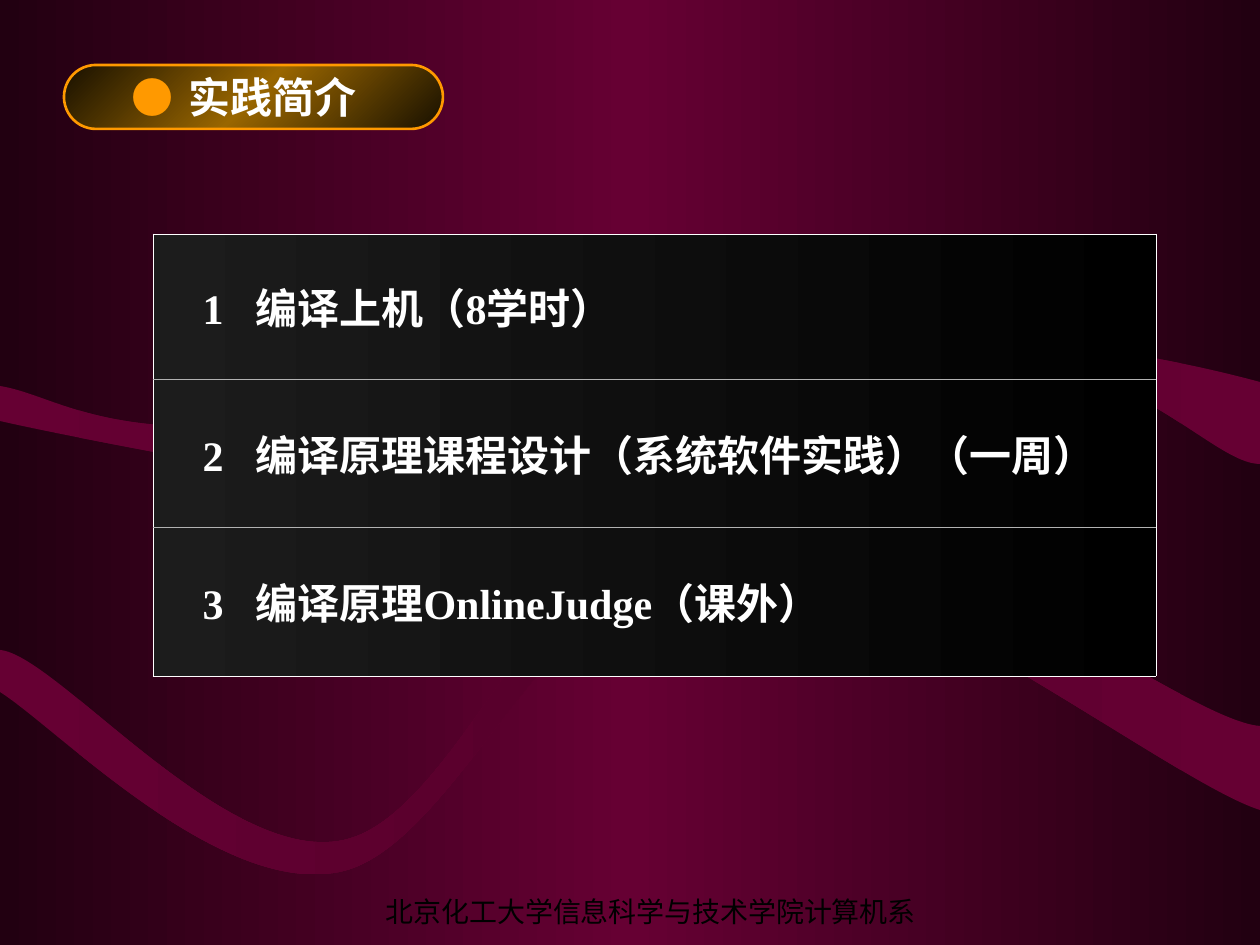
from copy import deepcopy

from lxml.etree import SubElement
from pptx import Presentation
from pptx.dml.color import RGBColor
from pptx.enum.shapes import MSO_SHAPE as Shape
from pptx.enum.text import MSO_ANCHOR as Anchor, PP_ALIGN as Align
from pptx.oxml.ns import qn
from pptx.util import Pt

EMU_PER_PX = 914400 / 126
FONT = "Times New Roman"
COLORS = {
    "edge": "220011", "wine": "660033", "wave": "56002B",
    "charcoal": "1C1C1C", "black": "000000", "white": "FFFFFF", "gray": "B2B2B2",
    "umber": "181000", "bronze": "996600", "orange": "FF9900",
}
UPPER_WAVE = [
    [(0, 386)], [(0, 421)],
    [(47, 432), (221, 466), (280, 473)], [(339, 479), (239, 478), (355, 459)],
    [(473, 438), (832, 355), (983, 357)], [(1134, 357), (1213, 464), (1260, 464)],
    [(1260, 382)],
    [(1197, 365), (1053, 331), (883, 339)], [(713, 345), (387, 418), (239, 426)],
    [(92, 433), (50, 394), (0, 386)],
]
LOWER_WAVE = [
    [(0, 650)], [(0, 692)],
    [(57, 728), (219, 896), (339, 872)], [(457, 849), (558, 562), (712, 552)],
    [(866, 541), (1168, 781), (1260, 810)],
    [(1260, 726)],
    [(1182, 721), (871, 475), (708, 493)], [(556, 512), (462, 814), (344, 840)],
    [(226, 866), (57, 655), (0, 650)],
]
TOPICS = [
    ("1\t编译上机（8学时）", 145),
    ("2\t编译原理课程设计（系统软件实践）（一周）", 148),
    ("3\t编译原理OnlineJudge（课外）", 149),
]


def px(value):
    return round(value * EMU_PER_PX)


def rgb(name):
    return RGBColor.from_string(COLORS[name])


def set_gradient(fill, names, angle=0):
    fill.gradient()
    fill.gradient_angle = -angle % 360
    first = fill.gradient_stops[0]._gs
    for _ in names[2:]:
        first.addnext(deepcopy(first))
    for index, (stop, name) in enumerate(zip(fill.gradient_stops, names)):
        stop.position = index / (len(names) - 1)
        stop.color.rgb = rgb(name)


def set_font(font, size, color, bold=False):
    font.name = FONT
    font.size = Pt(size)
    font.bold = bold
    font.color.rgb = rgb(color)


def bend_segments(outline, segments):
    lines = iter(outline.findall(qn("a:lnTo")))
    for segment in segments:
        group = [next(lines) for _ in segment]
        if len(group) == 3:
            curve = SubElement(outline, qn("a:cubicBezTo"))
            group[0].addprevious(curve)
            for line in group:
                curve.append(line[0])
                outline.remove(line)


def add_wave(slide, segments):
    start, *rest = segments
    points = [tuple(map(px, point)) for segment in rest for point in segment]
    builder = slide.shapes.build_freeform(*map(px, start[0]))
    builder.add_line_segments(points, close=True)
    wave = builder.convert_to_shape()
    bend_segments(wave._element.find(f".//{qn('a:path')}"), rest)
    wave.shadow.inherit = False
    wave.line.fill.background()
    set_gradient(wave.fill, ["wine", "wave", "wine"])


def add_footer(slide, text):
    box = slide.shapes.add_textbox(px(357), px(892), px(588), px(42))
    frame = box.text_frame
    frame.word_wrap = True
    frame.vertical_anchor = Anchor.BOTTOM
    paragraph = frame.paragraphs[0]
    paragraph.text = text
    paragraph.alignment = Align.CENTER
    set_font(paragraph.font, 16, "black")


def set_borders(cell, colors):
    properties = cell._tc.get_or_add_tcPr()
    for side, color in zip("LRTB", colors):
        line = SubElement(properties, qn(f"a:ln{side}"), w=str(Pt(0.45)))
        solid = SubElement(line, qn("a:solidFill"))
        SubElement(solid, qn("a:srgbClr"), val=COLORS[color])


def add_topics(slide):
    heights = [height for _, height in TOPICS]
    frame = slide.shapes.add_table(
        len(TOPICS), 1, px(153), px(234), px(1003), px(sum(heights))
    )
    table = frame.table
    table.first_row = table.horz_banding = False
    last = len(TOPICS) - 1
    for index, (text, height) in enumerate(TOPICS):
        table.rows[index].height = px(height)
        cell = table.cell(index, 0)
        top = "white" if index == 0 else "gray"
        bottom = "white" if index == last else "gray"
        set_borders(cell, ["white", "white", top, bottom])
        set_gradient(cell.fill, ["charcoal", "black"])
        cell.vertical_anchor = Anchor.MIDDLE
        paragraph = cell.text_frame.paragraphs[0]
        paragraph.text = text
        properties = paragraph._p.get_or_add_pPr()
        properties.set("marL", str(px(90)))
        properties.set("indent", str(px(-53)))
        set_font(paragraph.font, 24, "white", True)


def add_heading(slide, text):
    pill = slide.shapes.add_shape(Shape.ROUNDED_RECTANGLE, px(64), px(65), px(379), px(64))
    pill.adjustments[0] = 0.5
    pill.shadow.inherit = False
    set_gradient(pill.fill, ["umber", "bronze", "umber"], 45)
    pill.line.color.rgb = rgb("orange")
    pill.line.width = Pt(1.5)
    frame = pill.text_frame
    frame.word_wrap = True
    frame.vertical_anchor = Anchor.MIDDLE
    frame.margin_left = frame.margin_top = frame.margin_bottom = 0
    frame.margin_right = px(18)
    paragraph = frame.paragraphs[0]
    paragraph.alignment = Align.CENTER
    paragraph.space_after = Pt(9)
    parts = [("●", 24, "orange", False), (" ", 18, "orange", False), (text, 24, "white", True)]
    for content, size, color, bold in parts:
        run = paragraph.add_run()
        run.text = content
        set_font(run.font, size, color, bold)
    paragraph.runs[1]._r.get_or_add_rPr().set("spc", "450")


def main():
    presentation = Presentation()
    presentation.slide_width = px(1260)
    presentation.slide_height = px(945)
    slide = presentation.slides.add_slide(presentation.slide_layouts[6])
    set_gradient(slide.background.fill, ["edge", "wine", "edge"])
    add_wave(slide, UPPER_WAVE)
    add_wave(slide, LOWER_WAVE)
    add_footer(slide, "北京化工大学信息科学与技术学院计算机系")
    add_topics(slide)
    add_heading(slide, "实践简介")
    presentation.save("out.pptx")


if __name__ == "__main__":
    main()
